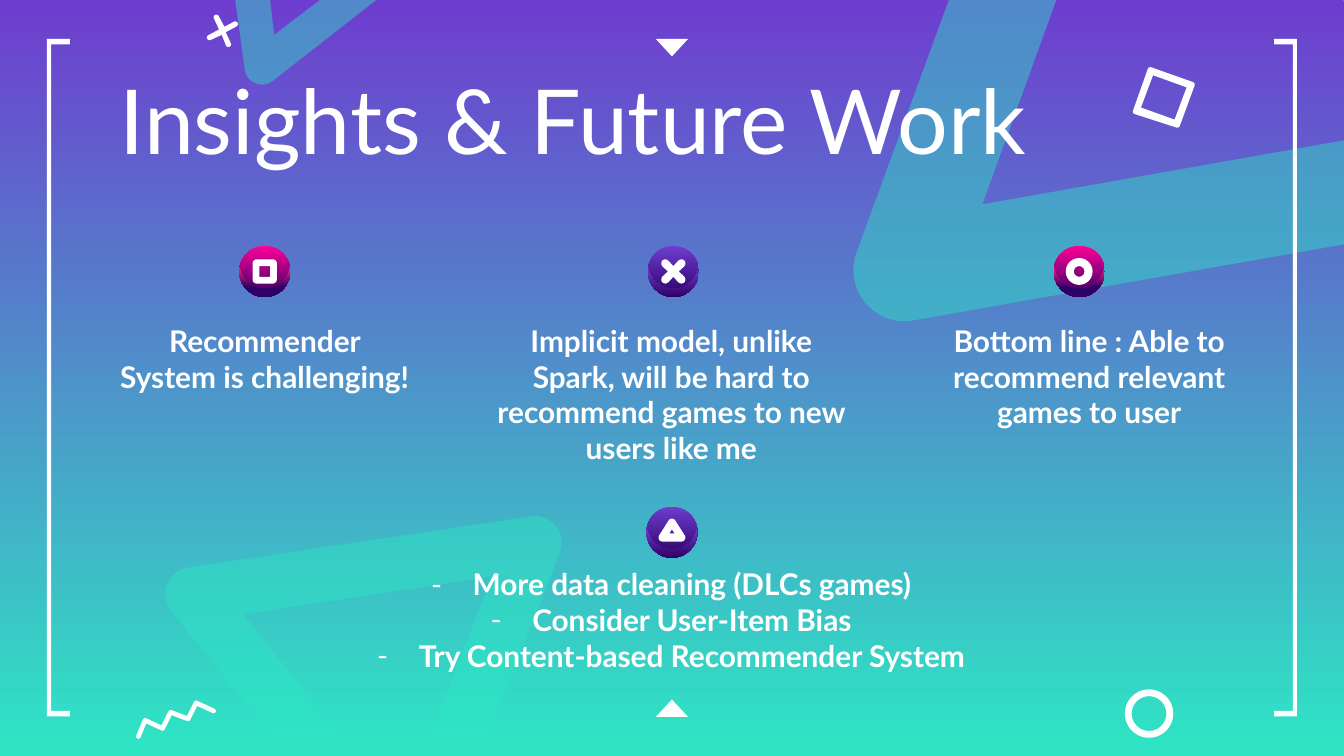
import math
from lxml import etree
from pptx import Presentation
from pptx.dml.color import RGBColor
from pptx.enum.shapes import MSO_SHAPE
from pptx.enum.text import MSO_ANCHOR, PP_ALIGN
from pptx.oxml.ns import qn
from pptx.util import Inches, Pt

OVAL, DONUT = MSO_SHAPE.OVAL, MSO_SHAPE.DONUT
TOP, LEFT, CENTER = MSO_ANCHOR.TOP, PP_ALIGN.LEFT, PP_ALIGN.CENTER
WIDTH = 10
HEIGHT = WIDTH * 9 / 16
FONT = "Lato"
COLORS = {"white": "FFFFFF", "violet": "6E3DCF", "mint": "2EE6C4",
          "pink": "FF0098", "rose": "F42579", "indigo": "2D0066"}

TITLE = ("Insights & Future Work", (0.79, 0.38, 7.95, 0.91))
INSIGHTS = [
    ("Recommender System is challenging!", (0.79, 2.22, 2.36, 1.21)),
    ("Implicit model, unlike Spark, will be hard to recommend games to new users like me",
     (3.52, 2.22, 2.95, 0.83)),
    ("Bottom line : Able to recommend relevant games to user", (6.85, 2.22, 2.51, 0.83)),
]
FUTURE_WORK = (["More data cleaning (DLCs games)", "Consider User-Item Bias",
                "Try Content-based Recommender System"], (2.31, 4.03, 5.37, 1.09))

# A contour lists (x, y, radius) clockwise; a radius of 0 is a sharp corner.
BIG_TRIANGLES = [
    [[(1.43, 4.42, 0.2), (3.98, 4.04, 0.2), (3.04, 6.43, 0.2)],
     [(1.81, 4.57, 0), (3.66, 4.29, 0), (2.98, 6.04, 0)]],
    [[(7.06, 0, 0), (7.86, 0, 0), (7.31, 1.52, 0), (10.76, 0.91, 0), (9.99, 0, 0),
      (10.98, 0, 0), (11.35, 0.44, 0), (11.35, 1.58, 0), (6.73, 2.01, 0.38)]],
    [[(1.75, 0, 0), (2.01, 0, 0), (2.04, 0.26, 0), (2.38, 0, 0), (2.8, 0, 0),
      (1.95, 0.5, 0.13)]],
]
TILTED_SQUARE = [
    [(8.56, 0.52, 0.02), (8.87, 0.63, 0.02), (8.76, 0.93, 0.02), (8.45, 0.83, 0.02)],
    [(8.58, 0.56, 0), (8.83, 0.65, 0), (8.74, 0.89, 0), (8.49, 0.8, 0)]]
TILTED_CROSS = [
    [(1.61, 0.13, 0.02), (1.67, 0.2, 0), (1.75, 0.18, 0.02), (1.68, 0.24, 0),
     (1.7, 0.33, 0.02), (1.65, 0.26, 0), (1.56, 0.28, 0.02), (1.63, 0.22, 0)]]
POINTER = [(4.88, 0.29), (5.12, 0.29), (5, 0.42)]
BRACKET = [(0.35, 0.29), (0.52, 0.29), (0.52, 0.33), (0.38, 0.33),
           (0.38, 5.29), (0.52, 5.29), (0.52, 5.33), (0.35, 5.33)]
ZIGZAG = [(1.03, 5.48), (1.08, 5.36), (1.21, 5.42), (1.27, 5.3), (1.4, 5.35),
          (1.46, 5.23), (1.59, 5.29)]

CORNERS = [(-1, -1), (1, -1), (1, 1), (-1, 1)]
EDGES = [(0, -1), (1, 0), (0, 1), (-1, 0)]
SYMBOLS = {
    "square": [[(0.06 * x, 0.06 * y, 0.03) for x, y in CORNERS],
               [(0.04 * x, 0.04 * y, 0) for x, y in CORNERS]],
    "cross": [[point for (x, y), (u, v) in zip(CORNERS, EDGES)
               for point in ((0.06 * x, 0.06 * y, 0.03), (0.04 * u, 0.04 * v, 0))]],
    "triangle": [[(0, -0.07, 0.03), (0.07, 0.04, 0.03), (-0.07, 0.04, 0.03)],
                 [(0, -0.02, 0), (0.02, 0.01, 0), (-0.02, 0.01, 0)]],
}
PINK, VIOLET = ("pink", "rose", 0.67), ("violet", "violet", 1)
BUTTONS = [("square", 1.97, 2.02, PINK), ("circle", 8.03, 2.02, PINK),
           ("cross", 5.01, 2.02, VIOLET), ("triangle", 5, 3.96, VIOLET)]
BUTTON_RADIUS = 0.19


def rgb(name):
    """Look up a named colour."""
    return RGBColor.from_string(COLORS[name])


def arc(x, y, radius, start, sweep, steps=16):
    """Return points along a circular arc, angles in radians."""
    angles = [start + sweep * step / steps for step in range(steps + 1)]
    return [(x + radius * math.cos(a), y + radius * math.sin(a)) for a in angles]


def belt(contour):
    """Return the outline of a belt running clockwise round the given discs."""
    normals = []
    for (x1, y1, r1), (x2, y2, r2) in zip(contour, contour[1:] + contour[:1]):
        distance = math.hypot(x2 - x1, y2 - y1)
        normals.append(math.atan2(y2 - y1, x2 - x1) - math.acos((r1 - r2) / distance))
    points = []
    for index, (x, y, radius) in enumerate(contour):
        start = normals[index - 1]
        sweep = (normals[index] - start) % math.tau
        points += arc(x, y, radius, start, sweep) if radius else [(x, y)]
    return points


def paint(shape, color="white", gradient_end=None, end_position=1):
    """Fill a shape with one colour or a downward gradient, without line or shadow."""
    shape.shadow.inherit = False
    shape.line.fill.background()
    if gradient_end:
        shade(shape.fill, color, gradient_end, end_position)
    else:
        shape.fill.solid()
        shape.fill.fore_color.rgb = rgb(color)
    return shape


def shade(fill, first, last, end_position=1):
    """Set a gradient running from top to bottom."""
    fill.gradient()
    fill.gradient_angle = 270
    for stop, name, position in zip(fill.gradient_stops, (first, last), (0, end_position)):
        stop.color.rgb = rgb(name)
        stop.position = position


def outline(shapes, contours, close=True):
    """Add one freeform made of the given point lists."""
    builder = None
    for points in contours:
        scaled = [(round(x * 1000), round(y * 1000)) for x, y in points]
        if builder is None:
            builder = shapes.build_freeform(*scaled[0], scale=Inches(1) / 1000)
        else:
            builder.move_to(*scaled[0])
        builder.add_line_segments(scaled[1:], close=close)
    return builder.convert_to_shape()


def round_shape(shapes, kind, x, y, radius):
    """Add a circle or ring by its centre and radius."""
    return shapes.add_shape(kind, Inches(x - radius), Inches(y - radius),
                            Inches(2 * radius), Inches(2 * radius))


def ring(shapes, x, y, radius, thickness):
    """Add a white ring."""
    shape = round_shape(shapes, DONUT, x, y, radius)
    shape.adjustments[0] = thickness / (2 * radius)
    paint(shape)


def button(slide, symbol, x, y, colors):
    """Add a round button with a shaded lower rim and a white symbol."""
    shapes = slide.shapes.add_group_shape().shapes
    face, rim, rim_end = colors
    paint(round_shape(shapes, OVAL, x, y, BUTTON_RADIUS), face, "indigo")
    tilt = math.radians(9)
    lower = arc(x, y, BUTTON_RADIUS, -tilt, math.pi + 2 * tilt)
    upper = arc(x, y - 0.06, BUTTON_RADIUS, math.pi - tilt, 2 * tilt - math.pi)
    paint(outline(shapes, [lower + upper]), rim, "indigo", rim_end)
    if symbol == "circle":
        ring(shapes, x, y, 0.1, 0.06)
    else:
        paint(outline(shapes, [belt([(x + u, y + v, r) for u, v, r in contour])
                               for contour in SYMBOLS[symbol]]))


def write(shape, lines, box, size, bold=True, align=CENTER, top_inset=0.18, bottom_inset=0):
    """Place a text shape and format its paragraphs."""
    shape.left, shape.top, shape.width, shape.height = map(Inches, box)
    frame = shape.text_frame
    frame.text = "\n".join(lines)
    frame.word_wrap, frame.vertical_anchor = True, TOP
    frame.margin_left = frame.margin_right = Inches(0.1)
    frame.margin_top, frame.margin_bottom = Inches(top_inset), Inches(bottom_inset)
    for paragraph in frame.paragraphs:
        paragraph.alignment = align
        font = paragraph.runs[0].font
        font.name, font.size, font.bold = FONT, Pt(size), bold
        font.color.rgb = rgb("white")
    return frame


def add_dash(paragraph):
    """Give a paragraph a white dash as its bullet."""
    properties = paragraph._p.get_or_add_pPr()
    properties.set("marL", str(Inches(0.31)))
    properties.set("indent", str(-Inches(0.31)))
    color = etree.SubElement(properties, qn("a:buClr"))
    etree.SubElement(color, qn("a:srgbClr"), val=COLORS["white"])
    etree.SubElement(properties, qn("a:buFont"), typeface=FONT)
    etree.SubElement(properties, qn("a:buChar"), char="-")


presentation = Presentation()
presentation.slide_width, presentation.slide_height = Inches(WIDTH), Inches(HEIGHT)
slide = presentation.slides.add_slide(presentation.slide_layouts[5])
shapes = slide.shapes
shade(slide.background.fill, "violet", "mint")

for contours in BIG_TRIANGLES:
    triangle = paint(outline(shapes, [belt(contour) for contour in contours]), "mint")
    fill_color = triangle._element.spPr.find(".//" + qn("a:srgbClr"))
    etree.SubElement(fill_color, qn("a:alpha"), val="45000")
for points in (POINTER, [(x, HEIGHT - y) for x, y in POINTER],
               BRACKET, [(WIDTH - x, y) for x, y in BRACKET]):
    paint(outline(shapes, [points]))
for contours in (TILTED_SQUARE, TILTED_CROSS):
    paint(outline(shapes, [belt(contour) for contour in contours]))
zigzag = outline(shapes, [ZIGZAG], close=False)
zigzag.shadow.inherit = False
zigzag.fill.background()
zigzag.line.color.rgb, zigzag.line.width = rgb("white"), Pt(2.5)
zigzag.line._ln.set("cap", "rnd")
etree.SubElement(zigzag.line._ln, qn("a:round"))
ring(shapes, 8.55, 5.31, 0.18, 0.05)

title_text, title_box = TITLE
write(shapes.title, [title_text], title_box, 48, False, LEFT, 0.1, 0.1)
shapes._spTree.append(shapes.title._element)
for text, box in INSIGHTS:
    write(shapes.add_textbox(0, 0, 0, 0), [text], box, 16).paragraphs[0].space_after = Pt(16)
for paragraph in write(shapes.add_textbox(0, 0, 0, 0), *FUTURE_WORK, 16).paragraphs:
    add_dash(paragraph)
for symbol, x, y, colors in BUTTONS:
    button(slide, symbol, x, y, colors)

presentation.save("out.pptx")
